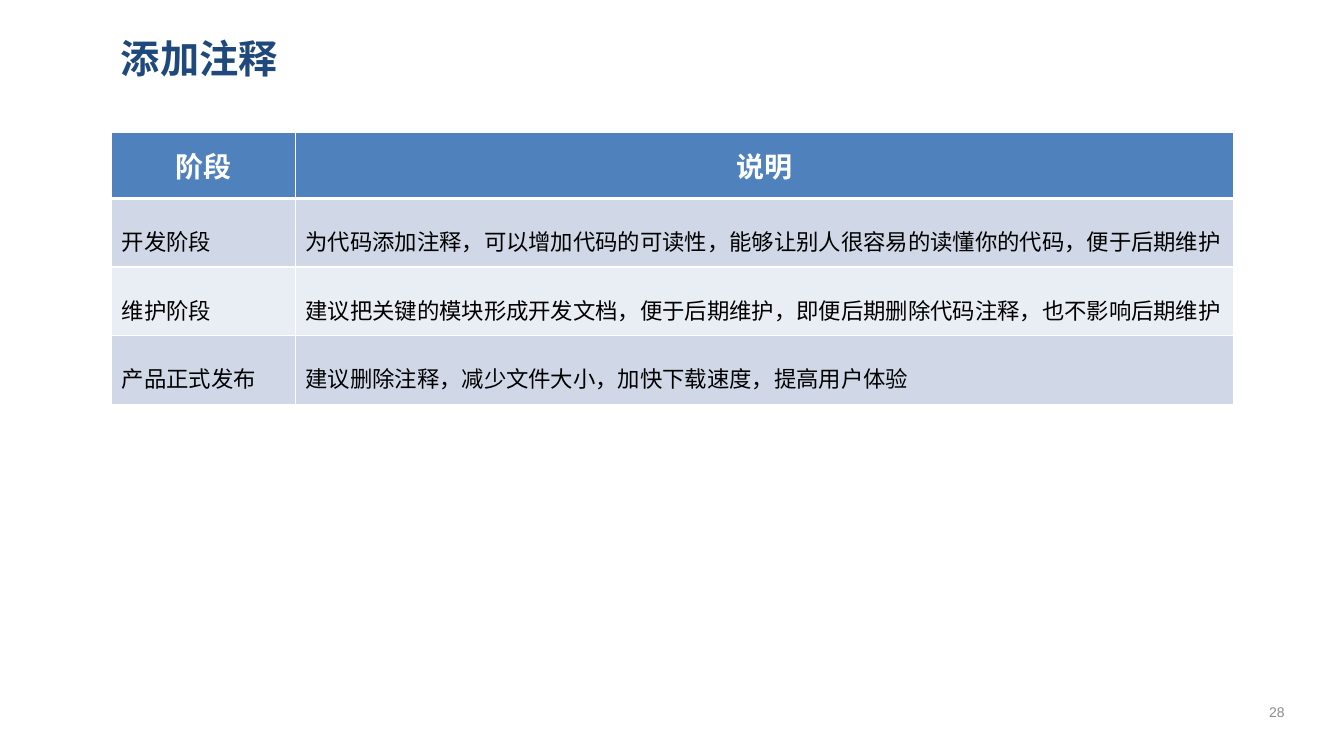
"""Build a slide with a table on code comments at each project stage."""
from lxml import etree
from pptx import Presentation
from pptx.dml.color import RGBColor
from pptx.enum import text
from pptx.oxml import ns
from pptx.util import Inches, Pt

COLORS = {
    "title": "1F497D",
    "header": "4F81BD",
    "odd_row": "D0D8E8",
    "even_row": "E9EDF4",
    "white": "FFFFFF",
    "black": "000000",
    "number": "8C8C8C",
}
CJK_FONT = "Noto Sans CJK SC"
ROWS = [
    ("阶段", "说明"),
    ("开发阶段", "为代码添加注释，可以增加代码的可读性，能够让别人很容易的读懂你的代码，便于后期维护"),
    ("维护阶段", "建议把关键的模块形成开发文档，便于后期维护，即便后期删除代码注释，也不影响后期维护"),
    ("产品正式发布", "建议删除注释，减少文件大小，加快下载速度，提高用户体验"),
]
COLUMN_WIDTHS = (1.82, 9.31)
ROW_HEIGHTS = (0.66, 0.68, 0.68, 0.68)


def format_text(paragraph, size, font_name, color, bold, alignment):
    paragraph.alignment = alignment
    for run in paragraph.runs:
        run.font.size = Pt(size)
        run.font.bold = bold
        run.font.color.rgb = RGBColor.from_string(COLORS[color])
        run.font.name = font_name
        east_asian = etree.SubElement(run.font._element, ns.qn("a:ea"))
        east_asian.set("typeface", CJK_FONT)


def add_borders(cell, bottom_width):
    properties = cell._tc.get_or_add_tcPr()
    widths = {"a:lnL": 1, "a:lnR": 1, "a:lnT": 1, "a:lnB": bottom_width}
    for position, (tag, width) in enumerate(widths.items()):
        line = etree.Element(ns.qn(tag), w=str(Pt(width)))
        fill = etree.SubElement(line, ns.qn("a:solidFill"))
        etree.SubElement(fill, ns.qn("a:srgbClr"), val=COLORS["white"])
        properties.insert(position, line)


presentation = Presentation()
presentation.slide_width = Inches(13.33)
presentation.slide_height = Inches(7.5)
slide = presentation.slides.add_slide(presentation.slide_layouts[5])

title = slide.shapes.title
title.left, title.top = Inches(1.1), Inches(0.24)
title.width, title.height = Inches(11.65), Inches(0.67)
title.text_frame.text = "添加注释"
title.text_frame.vertical_anchor = text.MSO_ANCHOR.MIDDLE
format_text(title.text_frame.paragraphs[0], 28, CJK_FONT, "title", True, text.PP_ALIGN.LEFT)

table = slide.shapes.add_table(
    len(ROWS), len(COLUMN_WIDTHS), Inches(1.11), Inches(1.31),
    Inches(sum(COLUMN_WIDTHS)), Inches(sum(ROW_HEIGHTS)),
).table
for column, width in zip(table.columns, COLUMN_WIDTHS):
    column.width = Inches(width)

for row_index, (row, height, values) in enumerate(zip(table.rows, ROW_HEIGHTS, ROWS)):
    row.height = Inches(height)
    is_header = row_index == 0
    row_color = "header" if is_header else "odd_row" if row_index % 2 else "even_row"
    size = 20 if is_header else 16
    for cell, value in zip(row.cells, values):
        cell.text_frame.text = value
        cell.vertical_anchor = text.MSO_ANCHOR.MIDDLE
        cell.fill.solid()
        cell.fill.fore_color.rgb = RGBColor.from_string(COLORS[row_color])
        add_borders(cell, 3 if is_header else 1)
        paragraph = cell.text_frame.paragraphs[0]
        paragraph.space_before = Pt(size * 0.2)
        if is_header:
            format_text(paragraph, size, "Calibri", "white", True, text.PP_ALIGN.CENTER)
        else:
            cell.margin_right = Inches(0.05)
            paragraph.line_spacing = 1.5
            format_text(paragraph, size, "Calibri", "black", False, text.PP_ALIGN.LEFT)

page_number = slide.shapes.add_textbox(Inches(12.34), Inches(6.86), Inches(0.65), Inches(0.4))
page_number.text_frame.word_wrap = True
page_number.text_frame.vertical_anchor = text.MSO_ANCHOR.MIDDLE
page_number.text_frame.text = "28"
format_text(page_number.text_frame.paragraphs[0], 10, "Arial", "number", False, text.PP_ALIGN.CENTER)

presentation.save("out.pptx")
